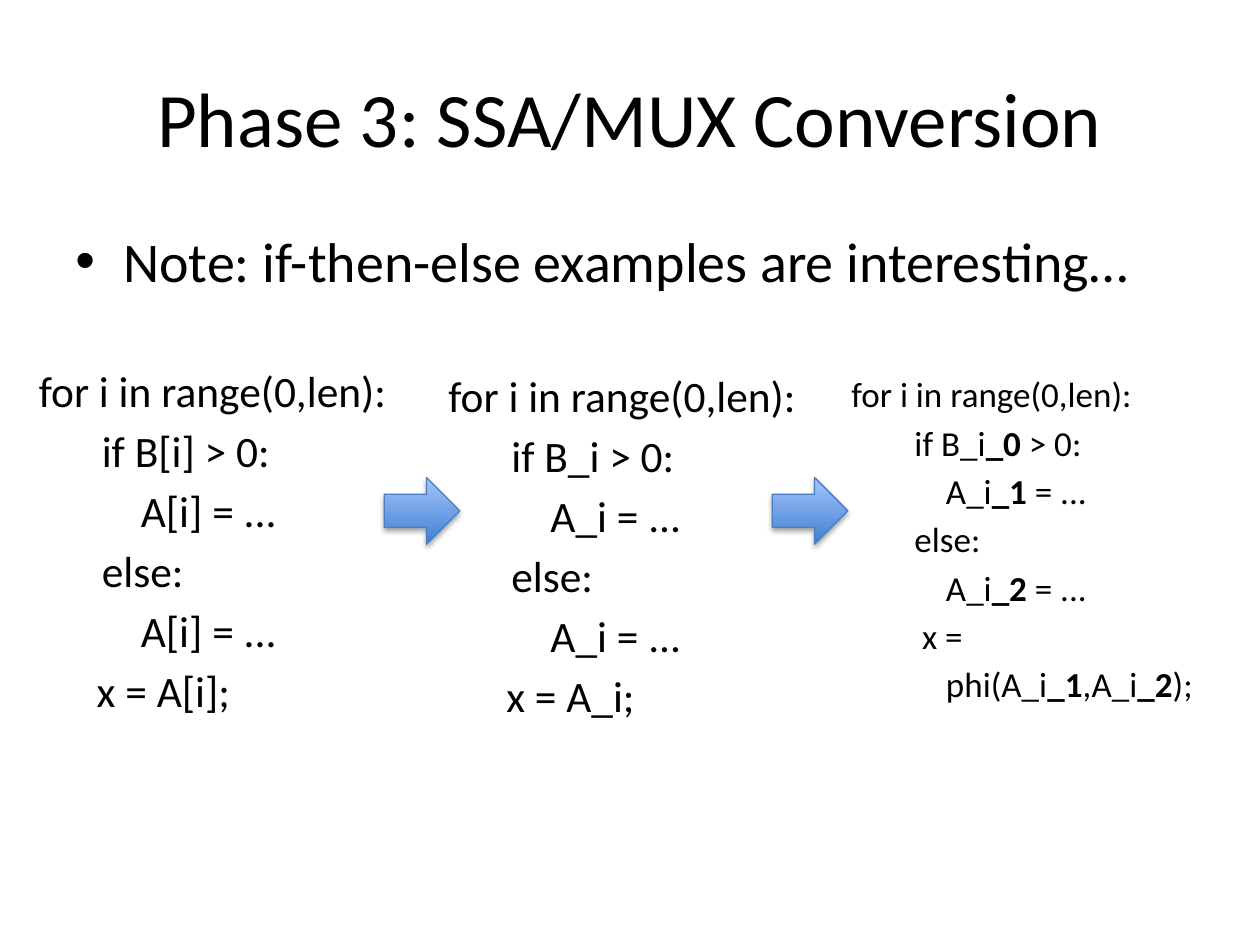
from lxml import etree
from pptx import Presentation
from pptx import util as u
from pptx.dml import color
from pptx.enum import shapes, text
from pptx.oxml import ns

WIDTH, HEIGHT = 10, 7.5
COLORS = {
    "ink": "000000",
    "arrow_dark": "3F80CE",
    "arrow_light": "A4C4FF",
    "arrow_edge": "4B7EBC",
}
FONT = "Calibri"

# Indent depths in inches: loop body, branch body, final assignment.
WIDE = {"body": 0.5, "branch": 0.81, "result": 0.46}
NARROW = {"body": 0.5, "branch": 0.75, "result": 0.56}


def rgb(name):
    """Return a palette colour."""
    return color.RGBColor.from_string(COLORS[name])


def box(left, top, width, height):
    """Turn inches into position and size."""
    return [u.Inches(value) for value in (left, top, width, height)]


def apply(target, values):
    """Set attributes from a dict of format values."""
    for name, value in values.items():
        setattr(target, name, value)


def add_frame(slide, place, **values):
    """Add a wrapping text box and return its text frame."""
    frame = slide.shapes.add_textbox(*box(*place)).text_frame
    apply(frame, {"word_wrap": True, **values})
    return frame


def add_run(paragraph, wording, size, bold=False):
    """Add one run in the slide's font."""
    run = paragraph.add_run()
    run.text = wording
    apply(run.font, {"name": FONT, "size": u.Pt(size), "bold": bold})
    run.font.color.rgb = rgb("ink")


def add_title(slide, wording):
    """Add the centred heading."""
    frame = add_frame(slide, (0.5, 0.3, 9, 1.25),
                      vertical_anchor=text.MSO_ANCHOR.MIDDLE)
    heading = frame.paragraphs[0]
    heading.alignment = text.PP_ALIGN.CENTER
    add_run(heading, wording, 44)


def add_bullet(slide, wording):
    """Add the bulleted note with a hanging indent."""
    note = add_frame(slide, (0.5, 1.75, 9, 4.95)).paragraphs[0]
    add_run(note, wording, 32)
    props = note._p.get_or_add_pPr()
    props.set("marL", str(u.Inches(0.38)))
    props.set("indent", str(u.Inches(-0.38)))
    font = etree.SubElement(props, ns.qn("a:buFont"))
    font.set("typeface", "Arial")
    etree.SubElement(props, ns.qn("a:buChar")).set("char", "\u2022")


def add_code(slide, place, size, depths, lines):
    """Add a listing; text between asterisks is bold."""
    frame = add_frame(slide, place)
    for index, (level, wording) in enumerate(lines):
        line = frame.add_paragraph() if index else frame.paragraphs[0]
        line.space_before = u.Pt(round(0.18 * size, 1) if index else 0)
        indent = u.Inches(depths.get(level, 0))
        line._p.get_or_add_pPr().set("marL", str(indent))
        for part, piece in enumerate(wording.split("*")):
            if piece:
                add_run(line, piece, size, bold=part % 2 == 1)


def add_shadow(shape):
    """Give the shape a soft shadow straight below it."""
    shape.shadow.inherit = False
    effects = shape._element.spPr.find(ns.qn("a:effectLst"))
    shadow = etree.SubElement(effects, ns.qn("a:outerShdw"), {
        "blurRad": str(u.Pt(3.1)), "dist": str(u.Pt(1.8)),
        "dir": "5400000", "rotWithShape": "0"})
    tint = etree.SubElement(shadow, ns.qn("a:srgbClr"), val=COLORS["ink"])
    etree.SubElement(tint, ns.qn("a:alpha"), val="35000")


def add_arrow(slide, left):
    """Add a gradient arrow between two listings."""
    arrow = slide.shapes.add_shape(shapes.MSO_SHAPE.RIGHT_ARROW,
                                   *box(left, 3.79, 0.6, 0.53))
    arrow.fill.gradient()
    arrow.fill.gradient_angle = 90
    tones = ("arrow_dark", "arrow_light")
    for position, (stop, tone) in enumerate(
            zip(arrow.fill.gradient_stops, tones)):
        stop.position = position
        stop.color.rgb = rgb(tone)
    arrow.line.color.rgb = rgb("arrow_edge")
    arrow.line.width = u.Pt(0.75)
    add_shadow(arrow)


def branch_lines(test, first, second):
    """Return the if-then-else lines shared by all phases."""
    return [("loop", "for i in range(0,len):"),
            ("body", f"if {test} > 0:"),
            ("branch", f"{first} = ..."),
            ("body", "else:"),
            ("branch", f"{second} = ...")]


def main():
    """Build and save the slide."""
    deck = Presentation()
    apply(deck, {"slide_width": u.Inches(WIDTH),
                 "slide_height": u.Inches(HEIGHT)})
    slide = deck.slides.add_slide(deck.slide_layouts[6])
    add_title(slide, "Phase 3: SSA/MUX Conversion")
    add_bullet(slide, "Note: if-then-else examples are interesting\u2026")
    add_code(slide, (0.21, 2.84, 3.14, 2.66), 24.8, WIDE,
             branch_lines("B[i]", "A[i]", "A[i]")
             + [("result", "x = A[i];")])
    add_code(slide, (3.46, 2.88, 3.19, 2.96), 24.8, WIDE,
             branch_lines("B_i", "A_i", "A_i")
             + [("result", "x = A_i;")])
    for left in (3.05, 6.13):
        add_arrow(slide, left)
    add_code(slide, (6.66, 2.91, 3.2, 2.58), 20, NARROW,
             branch_lines("B_i*_0*", "A_i*_1*", "A_i*_2*")
             + [("result", "x ="),
                ("branch", "phi(A_i*_1*,A_i*_2*);")])
    deck.save("out.pptx")


main()
